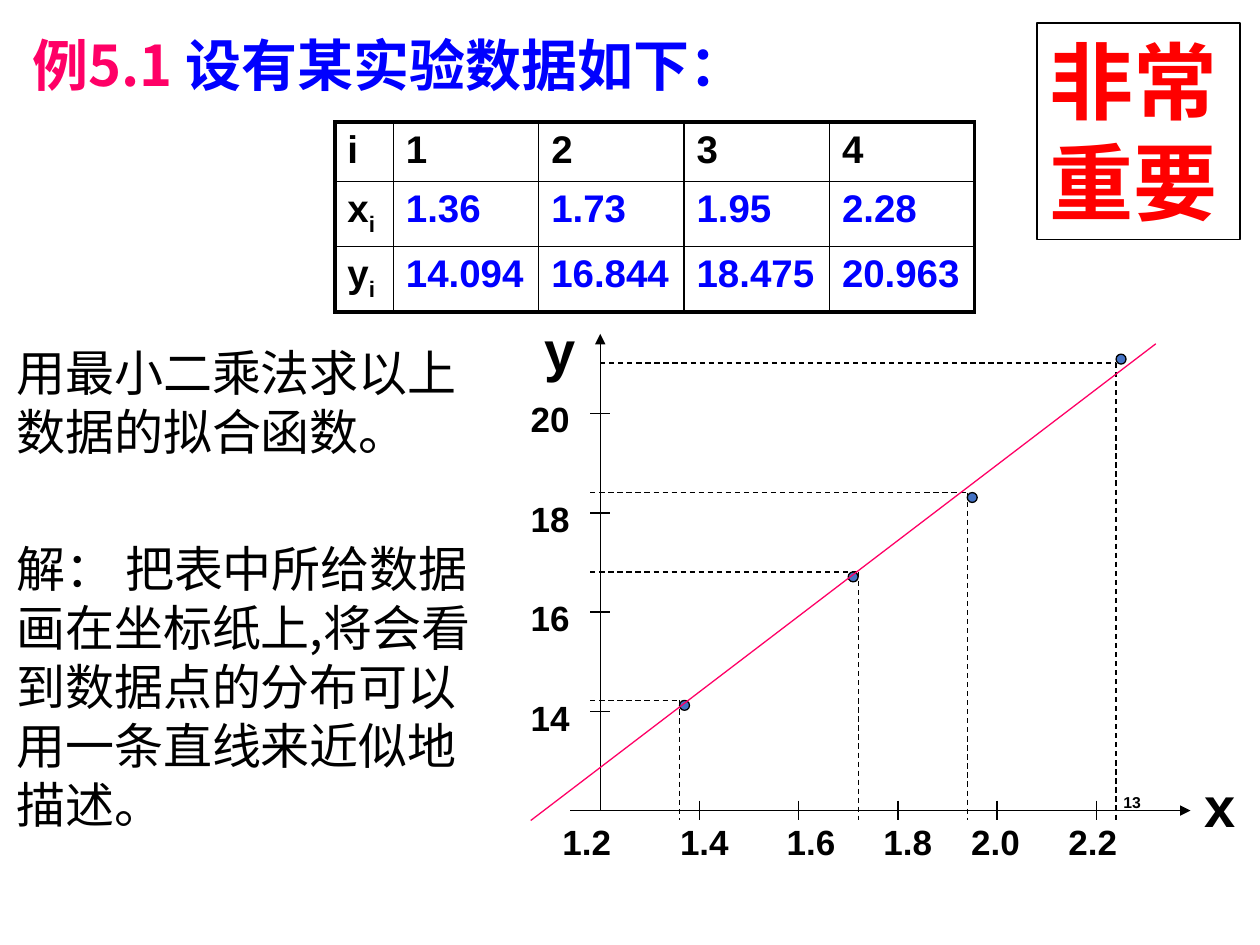
import pptx
import pptx.util
import pptx.dml.color
import pptx.enum.dml
import pptx.enum.shapes
import pptx.enum.text
import pptx.oxml
import pptx.oxml.ns

Cm, Pt = pptx.util.Cm, pptx.util.Pt
Shape = pptx.enum.shapes.MSO_SHAPE
Align = pptx.enum.text.PP_ALIGN
Anchor = pptx.enum.text.MSO_ANCHOR
HUES = {"ink": "000000", "blue": "0000FF", "pink": "FF0066",
        "red": "FF0000", "dot": "4472C4", "paper": "FFFFFF"}
HAN = "Noto Sans CJK SC"


def tint(name):
    return pptx.dml.color.RGBColor.from_string(HUES[name])


def node(tag, **attrs):
    item = pptx.oxml.parse_xml(f"<a:{tag} {pptx.oxml.ns.nsdecls('a')}/>")
    for key, value in attrs.items():
        item.set(key, str(value))
    return item


class Board:
    def __init__(self, slide):
        self.slide = slide
        self.shapes = slide.shapes

    def style(self, para, size, hue="ink", bold=True, face="Arial"):
        font = para.font
        font.size, font.bold, font.name = Pt(size), bold, face
        font.color.rgb = tint(hue)
        latin = para._p.pPr.find(pptx.oxml.ns.qn("a:defRPr")).find(pptx.oxml.ns.qn("a:latin"))
        latin.addnext(node("ea", typeface=HAN))

    def text(self, box, lines, size, hue="ink", bold=True, face="Arial",
             align=Align.LEFT, middle=False, inset=(0.25, 0.13), gap=0, lead=0):
        shape = self.shapes.add_textbox(*map(Cm, box))
        frame = shape.text_frame
        frame.word_wrap = True
        frame.margin_left = frame.margin_right = Cm(inset[0])
        frame.margin_top = frame.margin_bottom = Cm(inset[1])
        frame.vertical_anchor = Anchor.MIDDLE if middle else Anchor.TOP
        for i, line in enumerate(lines):
            para = frame.add_paragraph() if i else frame.paragraphs[0]
            para.alignment = align
            para.space_before = Pt(gap if i else lead)
            self.style(para, size, hue, bold, face)
            para.add_run().text = line
        return shape

    def label(self, mid, top, wide, high, lines, size, gap=0):
        return self.text((mid - wide / 2, top, wide, high), lines, size,
                         align=Align.CENTER, middle=True, inset=(0, 0), gap=gap)

    def line(self, x1, y1, x2, y2, hue="ink", dash=False, arrow=False):
        link = self.shapes.add_connector(
            pptx.enum.shapes.MSO_CONNECTOR.STRAIGHT, Cm(x1), Cm(y1), Cm(x2), Cm(y2))
        link.line.color.rgb = tint(hue)
        link.line.width = Pt(0.75)
        if dash:
            link.line.dash_style = pptx.enum.dml.MSO_LINE.DASH
        if arrow:
            link.line._get_or_add_ln().append(node("tailEnd", type="triangle"))
        link._element.spPr.append(node("effectLst"))

    def dot(self, x, y):
        shape = self.shapes.add_shape(Shape.OVAL, Cm(x), Cm(y), Cm(0.2), Cm(0.2))
        shape.shadow.inherit = False
        shape.fill.solid()
        shape.fill.fore_color.rgb = tint("dot")
        shape.line.color.rgb = tint("ink")
        shape.line.width = Pt(0.75)

    def edge(self, cell, sides):
        props = cell._tc.get_or_add_tcPr()
        for i, (side, thick) in enumerate(sides.items()):
            border = node(side, w=Pt(2.25 if thick else 1))
            fill = node("solidFill")
            fill.append(node("srgbClr", val=HUES["ink"]))
            border.append(fill)
            props.insert(i, border)

    def table(self, box, rows, wides, high):
        count = len(rows), len(wides)
        grid = self.shapes.add_table(*count, *map(Cm, box)).table
        grid.first_row = grid.horz_banding = False
        for col, wide in zip(grid.columns, wides):
            col.width = Cm(wide)
        for r, row in enumerate(rows):
            grid.rows[r].height = Cm(high)
            for c, value in enumerate(row):
                cell = grid.cell(r, c)
                cell.fill.background()
                para = cell.text_frame.paragraphs[0]
                para.space_before = Pt(4.4)
                self.style(para, 22, "blue" if r and c else "ink")
                para.add_run().text = value[0] if r and not c else value
                if r and not c:
                    sub = para.add_run()
                    sub.text = value[1]
                    sub._r.get_or_add_rPr().set("baseline", "-25000")
                self.edge(cell, {"lnL": c == 0, "lnR": c == count[1] - 1,
                                 "lnT": r == 0, "lnB": r == count[0] - 1})


deck = pptx.Presentation()
deck.slide_width, deck.slide_height = Cm(25.4), Cm(19.05)
board = Board(deck.slides.add_slide(deck.slide_layouts[6]))

title = board.text((0.4, 0.63, 20.1, 1.5), ["例5.1 "], 32, "pink", face=HAN)
para = title.text_frame.paragraphs[0]
para.line_spacing = 0.9
para.runs[0].font.color.rgb = tint("pink")
tail = para.add_run()
tail.text = "设有某实验数据如下："
tail.font.color.rgb = tint("blue")

board.table((6.75, 2.46, 12.9, 3.6), [
    ["i", "1", "2", "3", "4"],
    ["xi", "1.36", "1.73", "1.95", "2.28"],
    ["yi", "14.094", "16.844", "18.475", "20.963"],
], [1.18] + [2.93] * 4, 1.2)

board.text((0.08, 6.78, 10, 10.34), [
    "用最小二乘法求以上数据的拟合函数。",
    "解： 把表中所给数据画在坐标纸上,将会看到数据点的分布可以用一条直线来近似地描述。",
], 28, bold=False, face=HAN, gap=44.8, lead=5.6)

left, base, step, tick = 12.1, 16.34, 2, 0.2
board.line(11.5, base, 24, base, arrow=True)
board.line(left, base, left, 6.73, arrow=True)
for i in range(1, 6):
    x = left + i * step
    board.line(x, base - tick, x, base + tick)
for i in range(1, 5):
    y = base - i * step
    board.line(left - tick, y, left + tick, y)

board.label(11.09, 8.1, 1.2, 6.7, ["20", "18", "16", "14"], 20, gap=33)
for mid, mark in zip([11.83, 14.2, 16.35, 18.3, 20.07, 22.03],
                     ["1.2", "1.4", "1.6", "1.8", "2.0", "2.2"]):
    board.label(mid, 16.55, 1.6, 0.84, [mark], 20)
board.label(24.6, 15.93, 0.9, 0.6, ["x"], 32)
board.label(11.3, 6.73, 0.9, 0.6, ["y"], 32)

for x, y, start, dx, dy in [(13.7, 14.12, 11.9, 0, 0), (17.3, 11.53, 11.9, -0.2, 0),
                            (19.5, 9.93, 11.9, 0, 0), (22.5, 7.32, 12.1, 0, -0.18)]:
    board.line(x, y, x, base + tick, dash=True)
    board.line(start, y, x, y, dash=True)
    board.dot(x + dx, y + dy)
board.line(10.7, 16.54, 23.3, 6.93, "pink")

board.text((17.53, 15.85, 5.72, 1.02), ["13"], 9, align=Align.RIGHT)
badge = board.text((20.9, 0.46, 4.1, 4.37), ["非常重要"], 48, "red")
badge.fill.solid()
badge.fill.fore_color.rgb = tint("paper")
badge.line.color.rgb = tint("ink")
badge.line.width = Pt(1)

deck.save("out.pptx")
